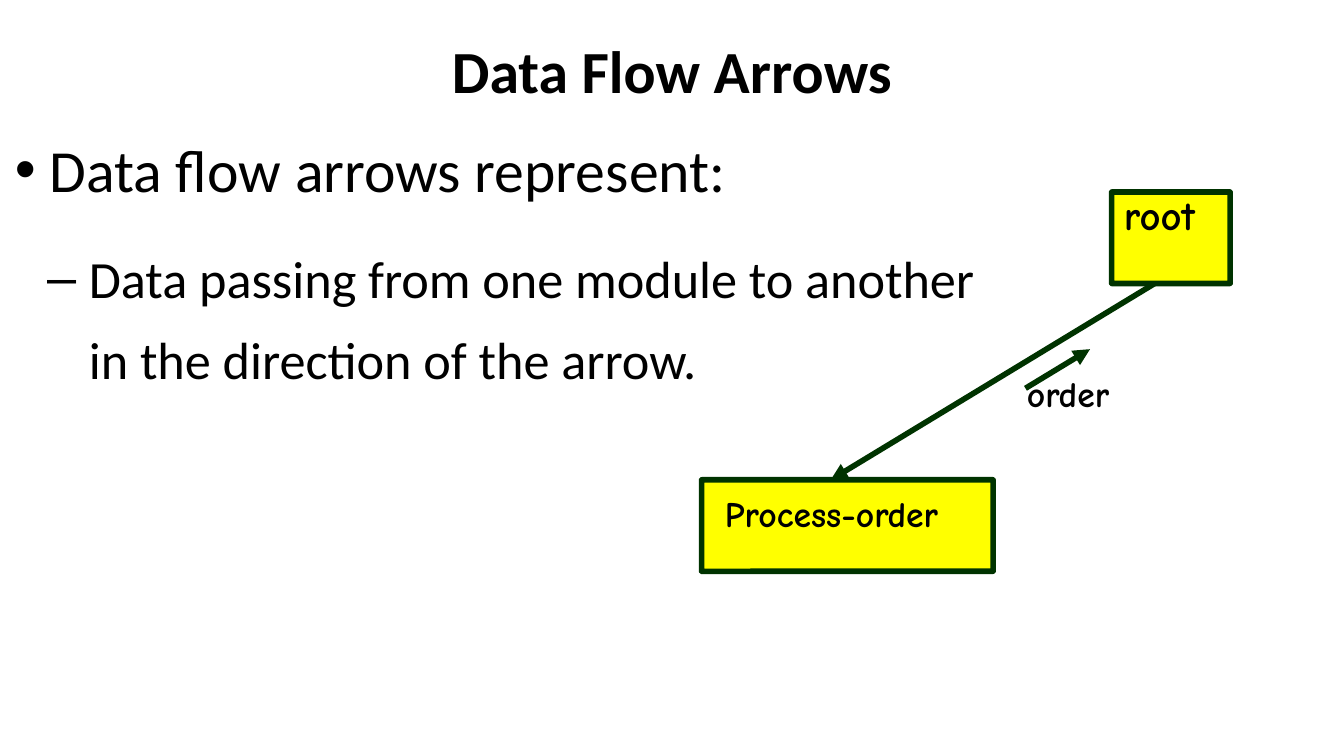
"""Build the data flow arrows slide."""
from dataclasses import dataclass

from lxml.etree import SubElement
from pptx import Presentation
from pptx.dml.color import RGBColor
from pptx.enum.shapes import MSO_CONNECTOR as Connector, MSO_SHAPE as Preset
from pptx.enum.text import MSO_ANCHOR as Anchor, PP_ALIGN as Align
from pptx.oxml.ns import qn
from pptx.util import Cm, Pt

BLACK, GREEN, YELLOW = "000000", "003300", "FFFF00"
LINE_WIDTH = Pt(3)


@dataclass(frozen=True)
class Box:
    left: float
    top: float
    width: float
    height: float

    def lengths(self) -> tuple:
        return Cm(self.left), Cm(self.top), Cm(self.width), Cm(self.height)


@dataclass(frozen=True)
class Label:
    text: str
    box: Box
    size: float
    space_before: float


@dataclass(frozen=True)
class Arrow:
    start: tuple[float, float]
    end: tuple[float, float]


@dataclass(frozen=True)
class Bullet:
    text: str
    level: int
    symbol: str
    size: float
    margin: float
    hanging: float


TITLE_BOX = Box(4.57, 0.13, 16.26, 2.36)
BODY_BOX = Box(0.25, 2.01, 18.49, 9.93)
BULLETS = [
    Bullet("Data flow arrows represent:", 0, "•", 32, 0.66, 0.66),
    Bullet("Data passing from one module to another in the direction of the arrow.",
           1, "–", 28, 1.4, 0.79),
]
MODULES = [Box(21.01, 3.63, 2.24, 1.73), Box(13.26, 9.07, 5.51, 1.73)]
ARROWS = [
    Arrow((21.82, 5.36), (15.7, 9.07)),
    Arrow((19.38, 7.34), (20.6, 6.6)),
]
LABELS = [
    Label("Process-order", Box(13.67, 9.32, 5.11, 1.27), 19.1, 8.6),
    Label("root", Box(21.21, 3.63, 3.05, 1.47), 21.8, 10.3),
    Label("order", Box(19.38, 7.06, 5.11, 1.27), 19.1, 8.6),
]


def color(value: str) -> RGBColor:
    return RGBColor.from_string(value)


def format_frame(frame, anchor=Anchor.TOP) -> None:
    frame.word_wrap = True
    frame.vertical_anchor = anchor
    frame.margin_left = frame.margin_right = Cm(0.03)
    frame.margin_top = frame.margin_bottom = Cm(0.1)


def format_runs(paragraph, size: float, name: str, bold: bool) -> None:
    for run in paragraph.runs:
        run.font.size = Pt(size)
        run.font.name = name
        run.font.bold = bold
        run.font.color.rgb = color(BLACK)


def format_title(title) -> None:
    title.left, title.top, title.width, title.height = TITLE_BOX.lengths()
    format_frame(title.text_frame, Anchor.MIDDLE)
    title.text_frame.text = "Data Flow Arrows"
    paragraph = title.text_frame.paragraphs[0]
    paragraph.alignment = Align.CENTER
    paragraph.space_before = Pt(7.5)
    format_runs(paragraph, 32, "Calibri", True)


def add_body(slide) -> None:
    frame = slide.shapes.add_textbox(*BODY_BOX.lengths()).text_frame
    format_frame(frame)
    for index, bullet in enumerate(BULLETS):
        paragraph = frame.add_paragraph() if index else frame.paragraphs[0]
        paragraph.text = bullet.text
        paragraph.level = bullet.level
        paragraph.line_spacing = 1.3
        paragraph.space_before = paragraph.space_after = Pt(6)
        format_runs(paragraph, bullet.size, "Calibri", False)
        properties = paragraph._p.get_or_add_pPr()
        properties.set("marL", str(Cm(bullet.margin)))
        properties.set("indent", str(-Cm(bullet.hanging)))
        SubElement(properties, qn("a:buFont"), typeface="Arial")
        SubElement(properties, qn("a:buChar"), char=bullet.symbol)


def add_module(slide, box: Box) -> None:
    shape = slide.shapes.add_shape(Preset.ROUNDED_RECTANGLE, *box.lengths())
    shape.adjustments[0] = 0.003
    shape.shadow.inherit = False
    shape.fill.solid()
    shape.fill.fore_color.rgb = color(YELLOW)
    shape.line.color.rgb = color(GREEN)
    shape.line.width = LINE_WIDTH


def add_arrow(slide, arrow: Arrow) -> None:
    points = [Cm(value) for value in (*arrow.start, *arrow.end)]
    connector = slide.shapes.add_connector(Connector.STRAIGHT, *points)
    connector.line.color.rgb = color(GREEN)
    connector.line.width = LINE_WIDTH
    properties = connector._element.spPr
    SubElement(properties.find(qn("a:ln")), qn("a:tailEnd"), type="triangle")
    SubElement(properties, qn("a:effectLst"))


def add_label(slide, label: Label) -> None:
    frame = slide.shapes.add_textbox(*label.box.lengths()).text_frame
    format_frame(frame)
    frame.text = label.text
    paragraph = frame.paragraphs[0]
    paragraph.line_spacing = 0.85
    paragraph.space_before = Pt(label.space_before)
    format_runs(paragraph, label.size, "Comic Neue", True)


def main() -> None:
    presentation = Presentation()
    presentation.slide_width = Cm(25.4)
    presentation.slide_height = Cm(14.29)
    slide = presentation.slides.add_slide(presentation.slide_layouts[5])
    format_title(slide.shapes.title)
    add_body(slide)
    for box in MODULES:
        add_module(slide, box)
    for arrow in ARROWS:
        add_arrow(slide, arrow)
    for label in LABELS:
        add_label(slide, label)
    presentation.save("out.pptx")


if __name__ == "__main__":
    main()
